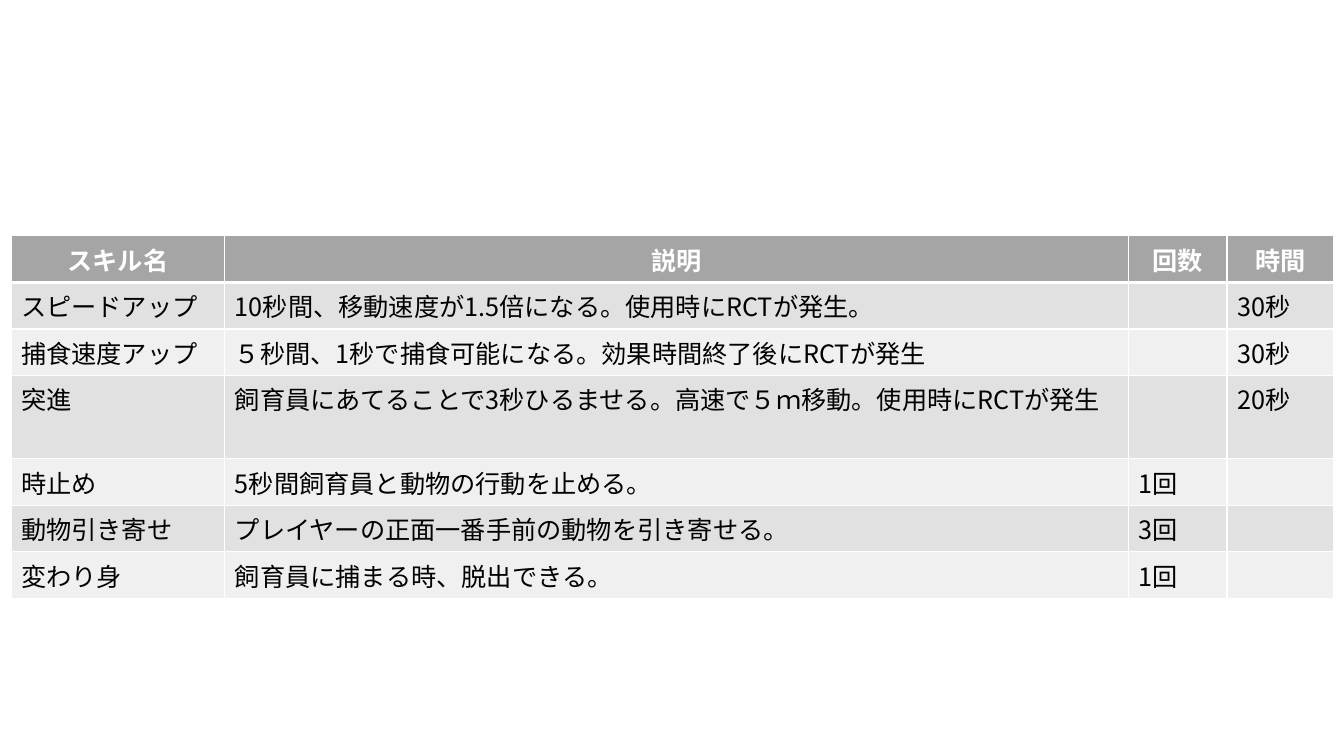
from lxml.etree import SubElement
from pptx import Presentation
from pptx.dml.color import RGBColor
from pptx.enum.text import PP_ALIGN
from pptx.oxml.ns import qn
from pptx.util import Inches, Pt

WHITE = RGBColor(0xFF, 0xFF, 0xFF)
BLACK = RGBColor(0, 0, 0)
HEADER_GRAY = RGBColor(0xA5, 0xA5, 0xA5)
BANDS = (RGBColor(0xE1, 0xE1, 0xE1), RGBColor(0xF0, 0xF0, 0xF0))

HEADINGS = ("スキル名", "説明", "回数", "時間")
SKILLS = (
    ("スピードアップ", "10秒間、移動速度が1.5倍になる。使用時にRCTが発生。", "", "30秒"),
    ("捕食速度アップ", "５秒間、1秒で捕食可能になる。効果時間終了後にRCTが発生", "", "30秒"),
    ("突進", "飼育員にあてることで3秒ひるませる。高速で５ｍ移動。使用時にRCTが発生", "", "20秒"),
    ("時止め", "5秒間飼育員と動物の行動を止める。", "1回", ""),
    ("動物引き寄せ", "プレイヤーの正面一番手前の動物を引き寄せる。", "3回", ""),
    ("変わり身", "飼育員に捕まる時、脱出できる。", "1回", ""),
)


def write(frame, text, font="Noto Sans CJK JP", size=18, color=BLACK, bold=False, align=PP_ALIGN.LEFT):
    """Put formatted text into the first paragraph of a text frame."""
    paragraph = frame.paragraphs[0]
    paragraph.alignment = align
    paragraph.font.size = Pt(size)
    if not text:
        return
    run = paragraph.add_run()
    run.text = text
    run.font.name, run.font.size, run.font.bold = font, Pt(size), bold
    run.font.color.rgb = color
    SubElement(run.font._element, qn("a:ea"), typeface=font)


class SlideBuilder:
    """Hold the style and the current slide, and add its elements."""

    row_height = Inches(0.4)

    def __init__(self, deck):
        """Add a blank slide to the deck."""
        self.width, self.height = deck.slide_width, deck.slide_height
        self.slide = deck.slides.add_slide(deck.slide_layouts[6])

    def border(self, cell, side, points):
        """Draw one white edge of a cell."""
        edge = SubElement(cell._tc.get_or_add_tcPr(), qn(f"a:ln{side}"), w=str(Pt(points)))
        solid = SubElement(edge, qn("a:solidFill"))
        SubElement(solid, qn("a:srgbClr"), val=str(WHITE))

    def cell(self, cell, text, fill, top=1, bottom=1, **text_format):
        """Fill, outline and label one table cell."""
        for side, points in zip("LRTB", (1, 1, top, bottom)):
            self.border(cell, side, points)
        cell.fill.solid()
        cell.fill.fore_color.rgb = fill
        write(cell.text_frame, text, **text_format)

    def table(self, headings, records, left, top, shares):
        """Add a banded table placed and sized by shares of the slide."""
        widths = [round(self.width * share) for share in shares]
        grid = self.slide.shapes.add_table(
            len(records) + 1, len(headings), round(self.width * left), round(self.height * top),
            sum(widths), self.row_height * (len(records) + 1)).table
        for column, width in zip(grid.columns, widths):
            column.width = width
        for index, heading in enumerate(headings):
            self.cell(grid.cell(0, index), heading, HEADER_GRAY, bottom=3,
                      color=WHITE, bold=True, align=PP_ALIGN.CENTER)
        for row, record in enumerate(records, start=1):
            for index, text in enumerate(record):
                self.cell(grid.cell(row, index), text, BANDS[(row - 1) % 2], top=3 if row == 1 else 1)


deck = Presentation()
deck.slide_width, deck.slide_height = Inches(13.33), Inches(7.5)
skill_slide = SlideBuilder(deck)
skill_slide.table(HEADINGS, SKILLS, left=0.11 / 13.33, top=2.34 / 7.5,
                  shares=[inches / 13.33 for inches in (2.12, 8.96, 0.98, 1.06)])
deck.save("out.pptx")
